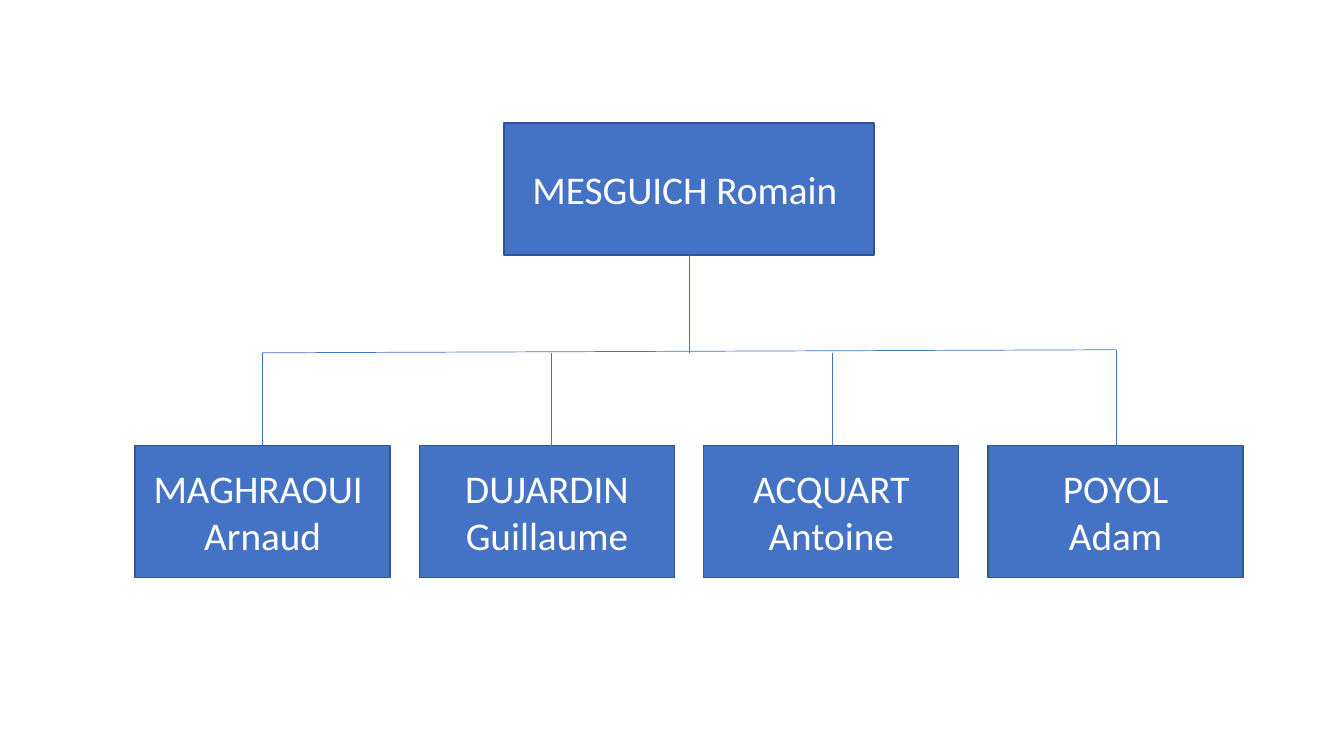
"""Build a one-slide organisation chart with a leader and four team members."""
import pptx
import pptx.dml.color
import pptx.enum.shapes
import pptx.enum.text
import pptx.oxml
import pptx.oxml.ns
import pptx.util

LEADER = ["MESGUICH Romain "]
MEMBERS = [
    (["MAGHRAOUI ", "Arnaud"], 2.6),
    (["DUJARDIN Guillaume"], 5.47),
    (["ACQUART Antoine"], 8.26),
    (["POYOL", "Adam"], 11.07),
]

BLUE = pptx.dml.color.RGBColor(0x44, 0x72, 0xC4)
DARK_BLUE = pptx.dml.color.RGBColor(0x32, 0x54, 0x91)
WHITE = pptx.dml.color.RGBColor(0xFF, 0xFF, 0xFF)

SLIDE_WIDTH, SLIDE_HEIGHT = 13.33, 7.5
BOX_HEIGHT = 1.31
LEADER_LEFT, LEADER_TOP, LEADER_WIDTH = 5, 1.22, 3.67
MEMBER_LEFT, MEMBER_TOP, MEMBER_WIDTH = 1.34, 4.42, 2.53
MEMBER_PITCH = 2.82
BAR_LEFT_Y, BAR_RIGHT_Y = 3.5, 3.47


def add_box(page, lines, left, top, width):
    """Add a blue name box with one paragraph per line."""
    box = page.shapes.add_shape(
        pptx.enum.shapes.MSO_SHAPE.RECTANGLE,
        *map(pptx.util.Inches, (left, top, width, BOX_HEIGHT)))
    box.shadow.inherit = False
    box.fill.solid()
    box.fill.fore_color.rgb = BLUE
    box.line.color.rgb = DARK_BLUE
    box.line.width = pptx.util.Pt(1)
    frame = box.text_frame
    frame.word_wrap = True
    frame.vertical_anchor = pptx.enum.text.MSO_ANCHOR.MIDDLE
    for index, line in enumerate(lines):
        para = frame.add_paragraph() if index else frame.paragraphs[0]
        para.alignment = pptx.enum.text.PP_ALIGN.CENTER
        span = para.add_run()
        span.text = line
        span.font.name = "Calibri"
        span.font.size = pptx.util.Pt(28)
        span.font.color.rgb = WHITE


def add_line(page, *ends):
    """Add a thin straight connector between two points."""
    line = page.shapes.add_connector(
        pptx.enum.shapes.MSO_CONNECTOR.STRAIGHT, *map(pptx.util.Inches, ends))
    line.line.color.rgb = BLUE
    line.line.width = pptx.util.Pt(0.5)
    properties = line._element.spPr
    properties.append(pptx.oxml.parse_xml(
        "<a:effectLst %s/>" % pptx.oxml.ns.nsdecls("a")))


deck = pptx.Presentation()
deck.slide_width = pptx.util.Inches(SLIDE_WIDTH)
deck.slide_height = pptx.util.Inches(SLIDE_HEIGHT)
page = deck.slides.add_slide(deck.slide_layouts[6])

add_box(page, LEADER, LEADER_LEFT, LEADER_TOP, LEADER_WIDTH)
for column, (lines, drop) in enumerate(MEMBERS):
    add_box(page, lines, MEMBER_LEFT + column * MEMBER_PITCH, MEMBER_TOP, MEMBER_WIDTH)
    drop_top = BAR_RIGHT_Y if column == len(MEMBERS) - 1 else BAR_LEFT_Y
    add_line(page, drop, drop_top, drop, MEMBER_TOP)

leader_middle = LEADER_LEFT + LEADER_WIDTH / 2
add_line(page, leader_middle, LEADER_TOP + BOX_HEIGHT, leader_middle, BAR_LEFT_Y)
add_line(page, MEMBERS[0][1], BAR_LEFT_Y, MEMBERS[-1][1], BAR_RIGHT_Y)

deck.save("out.pptx")
